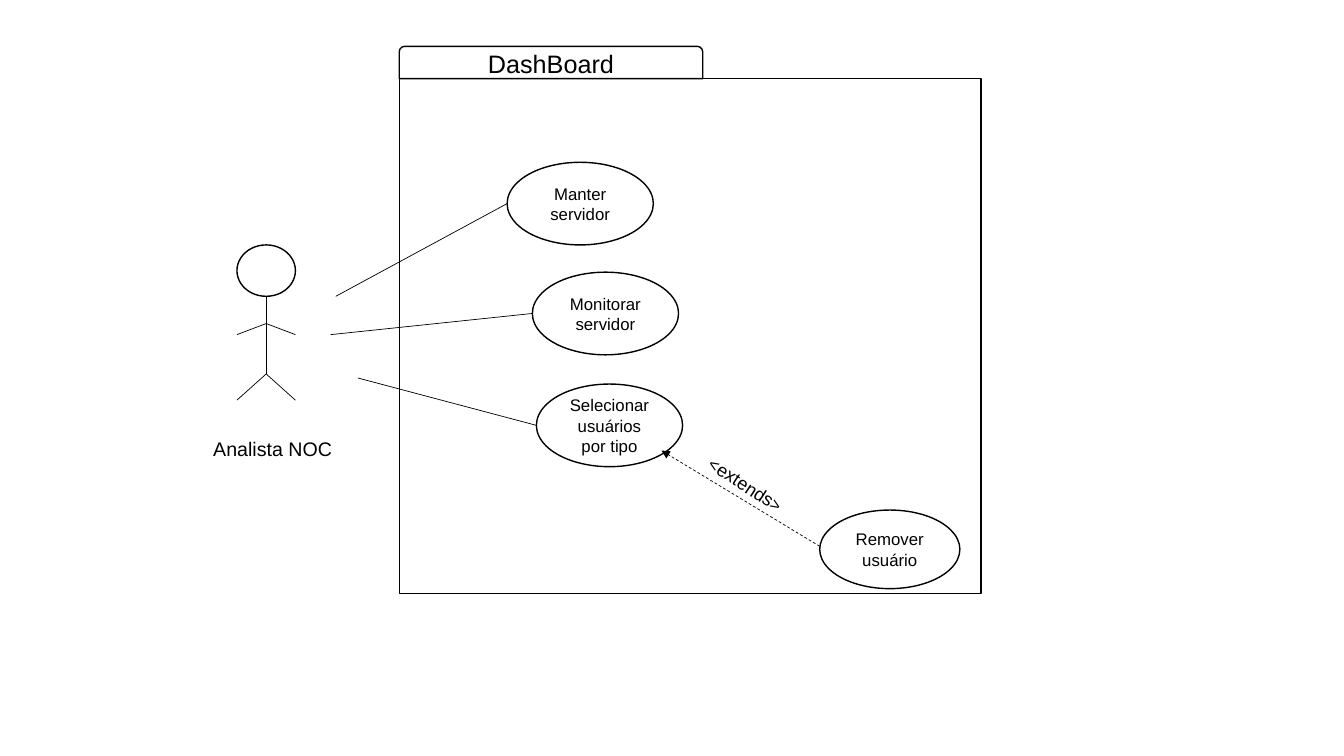
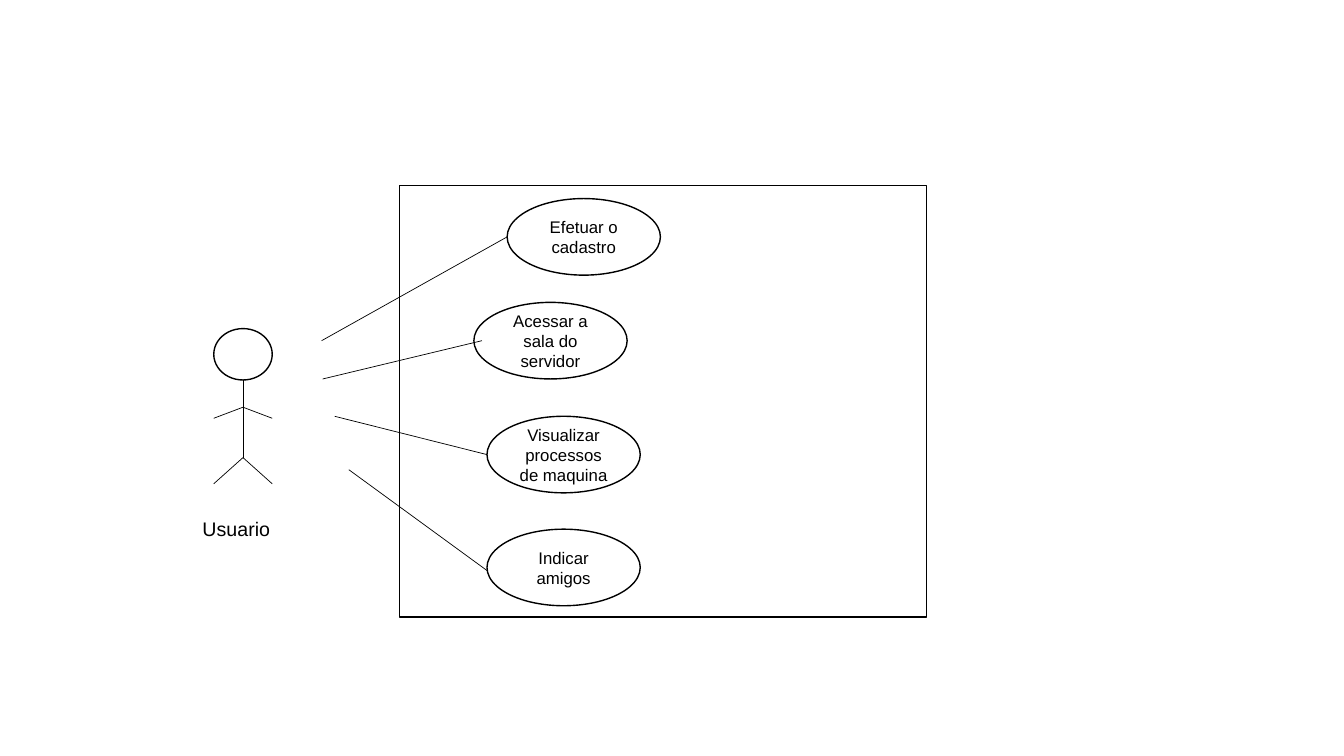
from lxml.etree import SubElement
from pptx import Presentation
from pptx.dml.color import RGBColor
from pptx.enum.dml import MSO_LINE
from pptx.enum.shapes import MSO_CONNECTOR, MSO_SHAPE
from pptx.enum.text import MSO_ANCHOR, MSO_AUTO_SIZE, PP_ALIGN
from pptx.oxml.ns import qn
from pptx.util import Inches, Pt

BLACK, WHITE = "000000", "FFFFFF"
FONT = "Arial"
OUTLINE, HAIRLINE = 1, 0.5

# Boxes are (left, top, width, height) and points (x, y), all in inches.
# A use case is (text, left, top, start of its line, end of its line);
# an end of None means the middle of the left side of the ellipse.
DIAGRAMS = [
    {
        "frame": (3.96, 0.78, 5.77, 5.11),
        "tab": ("DashBoard", (3.96, 0.46, 3.01, 0.32)),
        "head": (2.35, 2.43),
        "actor": ("Analista NOC", (1.8, 4.29, 1.81, 0.34), PP_ALIGN.CENTER),
        "case_size": (1.45, 0.82),
        "cases": [
            ("Manter servidor", 5.03, 1.61, (3.33, 2.94), None),
            ("Monitorar servidor", 5.28, 2.7, (3.28, 3.32), None),
            ("Selecionar usuários por tipo", 5.32, 3.81, (3.55, 3.75), None),
        ],
        "extension": {
            "case": ("Remover usuário", (8.13, 5.06, 1.39, 0.78)),
            "arrow": ((8.13, 5.42), (6.56, 4.47)),
            "label": ([("<", 12), ("extends", 13), (">", 12)],
                      (6.86, 4.73, 1.32, 0.32), 33),
        },
    },
    {
        "frame": (3.96, 1.84, 5.23, 4.28),
        "head": (2.12, 3.26),
        "actor": ("Usuario", (1.91, 5.08, 1.28, 0.34), PP_ALIGN.LEFT),
        "case_size": (1.52, 0.76),
        "cases": [
            ("Efetuar o cadastro", 5.03, 1.97, (3.19, 3.38), None),
            ("Acessar a sala do servidor", 4.7, 3, (3.2, 3.76), (4.78, 3.38)),
            ("Visualizar processos de maquina", 4.83, 4.13, (3.32, 4.13), None),
            ("Indicar amigos", 4.83, 5.25, (3.46, 4.66), (4.83, 5.66)),
        ],
    },
]

HEAD_SIZE = (0.58, 0.51)
# Limbs are measured from the point where the head meets the body.
SHOULDER, HIP, HALF_SPAN = 0.27, 0.77, 0.29
ARM_DROP, LEG_DROP = 0.11, 0.26


def color(value):
    """Turn a hex string into a colour."""
    return RGBColor.from_string(value)


def apply(target, formats):
    """Set each attribute of the target from a dict."""
    for name, value in formats.items():
        setattr(target, name, value)


def write(shape, spans, align, **frame_formats):
    """Fill a shape with one paragraph of (text, size) spans."""
    apply(shape.text_frame, {"word_wrap": True, **frame_formats})
    para = shape.text_frame.paragraphs[0]
    para.alignment = align
    for text, size in spans:
        span = para.add_run()
        span.text = text
        apply(span.font, {"name": FONT, "size": Pt(size)})
        span.font.color.rgb = color(BLACK)


def add_outline(page, kind, box, fill=None):
    """Add a black-outlined shape, hollow unless a fill is given."""
    shape = page.shapes.add_shape(kind, *map(Inches, box))
    shape.shadow.inherit = False
    if fill:
        shape.fill.solid()
        shape.fill.fore_color.rgb = color(fill)
    else:
        shape.fill.background()
    shape.line.color.rgb = color(BLACK)
    shape.line.width = Pt(OUTLINE)
    return shape


def add_labelled(page, kind, box, text, size):
    """Add a white shape with centred text."""
    shape = add_outline(page, kind, box, WHITE)
    write(shape, [(text, size)], PP_ALIGN.CENTER,
          vertical_anchor=MSO_ANCHOR.MIDDLE)


def add_label(page, box, spans, align, rotation=0):
    """Add a free text box, turned by the given degrees."""
    label = page.shapes.add_textbox(*map(Inches, box))
    label.rotation = rotation
    write(label, spans, align, auto_size=MSO_AUTO_SIZE.SHAPE_TO_FIT_TEXT)


def add_line(page, start, end):
    """Add a thin straight line between two points."""
    line = page.shapes.add_connector(
        MSO_CONNECTOR.STRAIGHT, *map(Inches, (*start, *end)))
    line.line.color.rgb = color(BLACK)
    line.line.width = Pt(HAIRLINE)
    SubElement(line._element.spPr, qn("a:effectLst"))
    return line


def add_actor(page, head, name, name_box, align):
    """Draw a stick figure with its name below."""
    width, height = HEAD_SIZE
    add_outline(page, MSO_SHAPE.FLOWCHART_CONNECTOR, (*head, *HEAD_SIZE))
    x, neck = head[0] + width / 2, head[1] + height
    add_line(page, (x, neck), (x, neck + HIP))
    for joint, drop in ((SHOULDER, ARM_DROP), (HIP, LEG_DROP)):
        for reach in (HALF_SPAN, -HALF_SPAN):
            add_line(page, (x, neck + joint), (x + reach, neck + joint + drop))
    add_label(page, name_box, [(name, 14)], align)


def add_cases(page, cases, size):
    """Draw the use cases and the lines that lead to them."""
    for text, left, top, start, end in cases:
        add_labelled(page, MSO_SHAPE.OVAL, (left, top, *size), text, 12)
        add_line(page, start, end or (left, top + size[1] / 2))


def add_extension(page, case, arrow, label):
    """Draw an extending use case with its dashed arrow."""
    text, box = case
    add_labelled(page, MSO_SHAPE.OVAL, box, text, 12)
    line = add_line(page, *arrow)
    line.line.dash_style = MSO_LINE.DASH
    SubElement(line.line._get_or_add_ln(), qn("a:tailEnd"), type="triangle")
    spans, label_box, rotation = label
    add_label(page, label_box, spans, PP_ALIGN.LEFT, rotation)


def add_diagram(deck, diagram):
    """Add one slide with a use case diagram."""
    page = deck.slides.add_slide(deck.slide_layouts[6])
    add_outline(page, MSO_SHAPE.RECTANGLE, diagram["frame"])
    if "tab" in diagram:
        text, box = diagram["tab"]
        add_labelled(page, MSO_SHAPE.ROUND_2_SAME_RECTANGLE, box, text, 18)
    add_actor(page, diagram["head"], *diagram["actor"])
    add_cases(page, diagram["cases"], diagram["case_size"])
    if "extension" in diagram:
        add_extension(page, **diagram["extension"])


deck = Presentation()
apply(deck, {"slide_width": Inches(13.33), "slide_height": Inches(7.5)})
for diagram in DIAGRAMS:
    add_diagram(deck, diagram)
deck.save("out.pptx")
